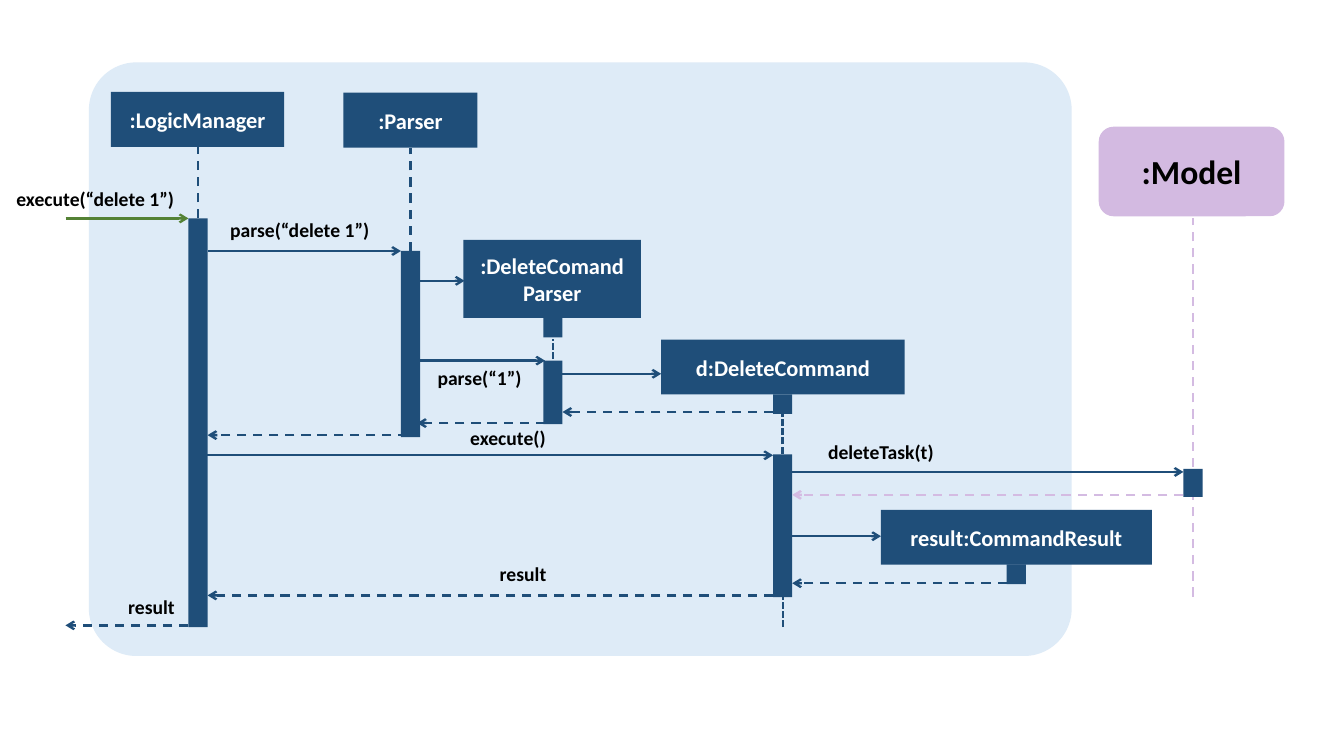
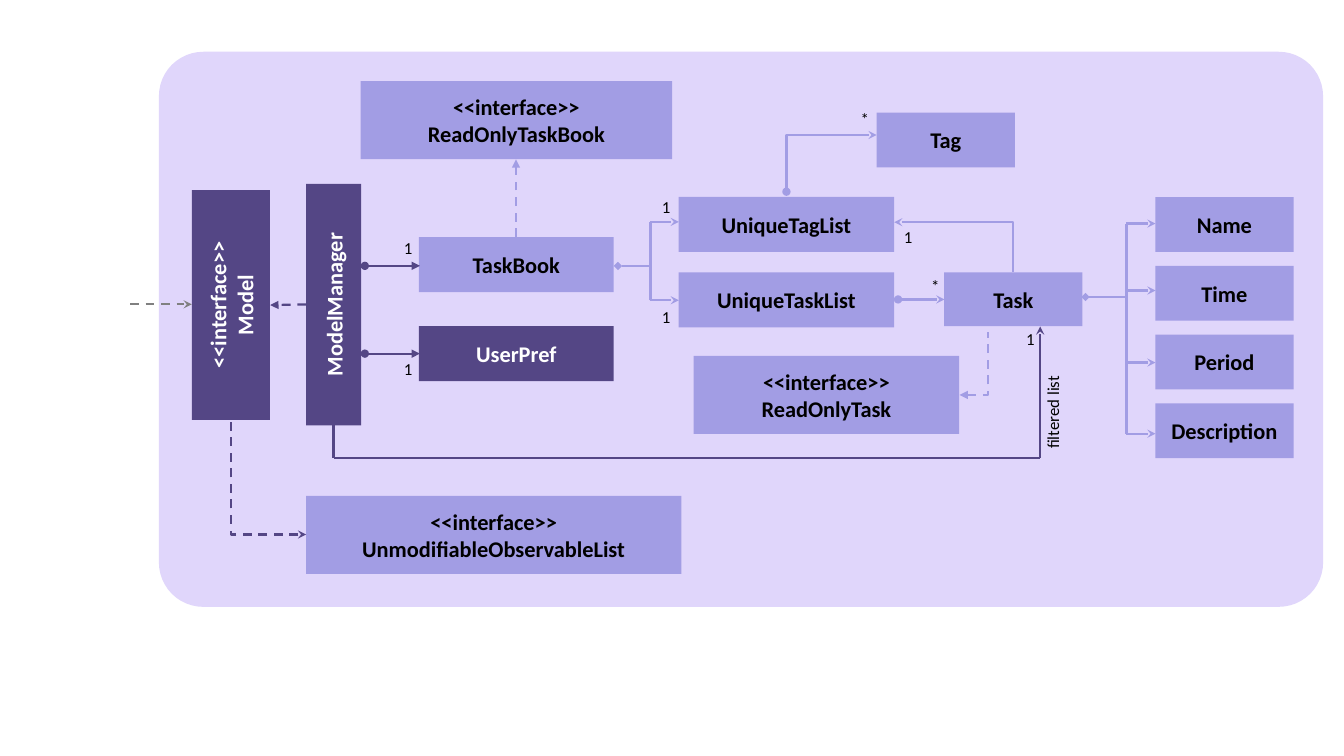
from lxml.etree import SubElement
from pptx import Presentation
from pptx.dml.color import RGBColor
from pptx.enum.dml import MSO_LINE
from pptx.enum.shapes import MSO_CONNECTOR, MSO_SHAPE
from pptx.enum.text import MSO_ANCHOR, PP_ALIGN
from pptx.oxml.ns import qn
from pptx.util import Pt

BLACK = RGBColor(0x00, 0x00, 0x00)
WHITE = RGBColor(0xFF, 0xFF, 0xFF)
GREY = RGBColor(0x80, 0x80, 0x80)
GREEN = RGBColor(0x54, 0x82, 0x35)
NAVY = RGBColor(0x1F, 0x4E, 0x79)
SKY = RGBColor(0xDE, 0xEB, 0xF7)
PINK = RGBColor(0xD3, 0xBA, 0xE1)
PINK_LINE = RGBColor(0xD4, 0xBB, 0xE2)
PURPLE = RGBColor(0x54, 0x46, 0x85)
LILAC = RGBColor(0xA2, 0x9D, 0xE4)
LAVENDER = RGBColor(0xE0, 0xD6, 0xFB)

FONT = "Calibri"
ONE_LINE, TWO_LINES = 39.2, 55.7
PANEL_ROUNDING = 0.08
DASH, SHORT_DASH = MSO_LINE.DASH, MSO_LINE.SQUARE_DOT
RECT, ROUNDED = MSO_SHAPE.RECTANGLE, MSO_SHAPE.ROUNDED_RECTANGLE


def add_box(slide, x, y, w, h, text="", fill=None, color=BLACK, size=16,
            bold=True, align=PP_ALIGN.CENTER, kind=RECT, turn=0):
    """Add a filled box, or a plain text label when no fill is given."""
    frame = Pt(x), Pt(y), Pt(w), Pt(h)
    if fill is None:
        sp = slide.shapes.add_textbox(*frame)
    else:
        sp = slide.shapes.add_shape(kind, *frame)
        sp.shadow.inherit = False
        sp.fill.solid()
        sp.fill.fore_color.rgb = fill
        sp.line.fill.background()
        sp.text_frame.vertical_anchor = MSO_ANCHOR.MIDDLE
    sp.rotation = turn
    tf = sp.text_frame
    tf.word_wrap = True
    if text:
        tf.text = text
    for p in tf.paragraphs:
        p.alignment = align
        for r in p.runs:
            r.font.name, r.font.size, r.font.bold = FONT, Pt(size), bold
            r.font.color.rgb = color
    return sp


def add_link(slide, x1, y1, x2, y2, color, dash=None, head=None, tail=None,
             bent=False, width=1.65):
    """Add a line; a bent one runs across first, then up or down."""
    kind = MSO_CONNECTOR.ELBOW if bent else MSO_CONNECTOR.STRAIGHT
    cxn = slide.shapes.add_connector(kind, Pt(x1), Pt(y1), Pt(x2), Pt(y2))
    cxn.line.color.rgb = color
    cxn.line.width = Pt(width)
    if dash:
        cxn.line.dash_style = dash
    sp_pr = cxn._element.spPr
    if bent:
        sp_pr.find(qn("a:prstGeom")).set("prst", "bentConnector2")
    for tag, arrow in (("a:headEnd", head), ("a:tailEnd", tail)):
        if arrow:
            SubElement(sp_pr.find(qn("a:ln")), qn(tag)).set("type", arrow)
    SubElement(sp_pr, qn("a:effectLst"))


prs = Presentation()
prs.slide_width, prs.slide_height = Pt(960), Pt(540)
blank = prs.slide_layouts[6]

# Slide 1: sequence diagram
slide = prs.slides.add_slide(blank)
panel = add_box(slide, 63.5, 44.6, 702, 424, fill=SKY, kind=ROUNDED)
panel.adjustments[0] = PANEL_ROUNDING

for text, x, y, w, h in (
    (":LogicManager", 79.2, 65.7, 123.8, ONE_LINE),
    (":Parser", 245.3, 66.2, 95.8, ONE_LINE),
    (":DeleteComand Parser", 331, 171.4, 126.8, TWO_LINES),
    ("d:DeleteCommand", 472.3, 242.6, 174, ONE_LINE),
    ("result:CommandResult", 629.3, 364.1, 193.6, ONE_LINE),
):
    add_box(slide, x, y, w, h, text, NAVY, WHITE)
add_box(slide, 784.8, 90.5, 132.7, 64, ":Model", PINK, size=24, kind=ROUNDED)

BAR_WIDTH = 13.7
for x, y, h in (
    (134.6, 156, 292), (286.4, 179.3, 133), (388.1, 227, 14),
    (388.1, 257.6, 45.4), (552.2, 281.7, 14), (552.2, 324.5, 102),
    (719.1, 403.2, 14), (845.3, 335, 20),
):
    add_box(slide, x, y, BAR_WIDTH, h, fill=NAVY)

for x, bottom, top, color, dash in (
    (141.5, 156, 105.2, NAVY, DASH),
    (293.2, 179.3, 106, NAVY, DASH),
    (395.1, 256.5, 242, NAVY, SHORT_DASH),
    (559, 324, 296, NAVY, SHORT_DASH),
    (559.5, 448, 426.2, NAVY, SHORT_DASH),
    (852, 333.5, 156, PINK_LINE, DASH),
    (852.2, 426.2, 355, PINK_LINE, DASH),
):
    add_link(slide, x, bottom, x, top, color, dash)

for y, x1, x2, color, dash in (
    (156, 46.8, 134.6, GREEN, None),
    (179.3, 148.3, 286.4, NAVY, None),
    (200.6, 298, 331.8, NAVY, None),
    (257.6, 298, 389.3, NAVY, None),
    (267, 401.8, 472.3, NAVY, None),
    (325.2, 141.8, 552.2, NAVY, None),
    (337.1, 565.9, 845.3, NAVY, None),
    (383, 559.2, 629.3, NAVY, None),
    (294.3, 552.2, 401.8, NAVY, DASH),
    (302.2, 389.3, 298, NAVY, DASH),
    (310.8, 290.9, 148.3, NAVY, DASH),
    (353.5, 845.3, 565.9, PINK_LINE, DASH),
    (416.6, 719.1, 565.9, NAVY, DASH),
    (425.3, 552.2, 148.3, NAVY, DASH),
    (446.7, 134.6, 46.8, NAVY, DASH),
):
    add_link(slide, x1, y, x2, y, color, dash, tail="arrow")

for text, x, y, w in (
    ("execute(“delete 1”)", -15.8, 130.3, 167.8),
    ("parse(“delete 1”)", 141.8, 152.2, 144.7),
    ("parse(“1”)", 286.4, 258, 112.3),
    ("deleteTask(t)", 573.1, 311, 112.3),
    ("execute()", 306.7, 301, 112.3),
    ("result", 317.5, 398, 112.3),
    ("result", 52.1, 421.5, 112.3),
):
    add_box(slide, x, y, w, 24.2, text, size=14)

# Slide 2: class diagram
slide = prs.slides.add_slide(blank)
panel = add_box(slide, 113.5, 37, 831.6, 396.5, fill=LAVENDER, kind=ROUNDED)
panel.adjustments[0] = PANEL_ROUNDING

for text, x, y, w, h, turn in (
    ("<<interface>>\nModel", 82.8, 190, 164.2, TWO_LINES, 270),
    ("ModelManager", 152, 198, 172.6, ONE_LINE, 270),
    ("UserPref", 299.3, 233, 139, ONE_LINE, 0),
):
    add_box(slide, x, y, w, h, text, PURPLE, WHITE, turn=turn)

for text, x, y, w, h in (
    ("TaskBook", 299.3, 169.4, 139, ONE_LINE),
    ("UniqueTagList", 484.7, 140.7, 154, ONE_LINE),
    ("<<interface>>\nReadOnlyTaskBook", 257.6, 57.9, 222.5, TWO_LINES),
    ("UniqueTaskList", 484.7, 194.6, 154, ONE_LINE),
    ("Tag", 626.2, 80.4, 98.8, ONE_LINE),
    ("<<interface>>\nReadOnlyTask", 495.4, 254.2, 189.8, TWO_LINES),
    ("Task", 674.4, 194.5, 98.8, 38.4),
    ("<<interface>>\nUnmodifiableObservableList", 218.7, 354.2, 268, TWO_LINES),
):
    add_box(slide, x, y, w, h, text, LILAC)
for i, text in enumerate(("Name", "Time", "Period", "Description")):
    add_box(slide, 825.2, 140.8 + 49.1 * i, 98.8, ONE_LINE, text, LILAC)

for x1, y1, x2, y2, color, dash, head, tail in (
    (218.7, 217.5, 193, 217.9, PURPLE, DASH, None, "triangle"),
    (92.9, 217.4, 137, 217.4, GREY, DASH, None, "stealth"),
    (260.6, 189.9, 300, 189.9, PURPLE, None, "oval", "triangle"),
    (260.6, 252.6, 300, 252.6, PURPLE, None, "oval", "triangle"),
    (641.5, 213.9, 674.6, 213.9, LILAC, None, "oval", "stealth"),
    (368.6, 169.4, 368.6, 113.8, LILAC, DASH, None, "triangle"),
    (441.4, 190, 464.4, 190, LILAC, None, "diamond", None),
    (464.6, 214.5, 464.6, 158.5, LILAC, None, None, None),
    (775.4, 212.2, 804.6, 212.2, LILAC, None, "diamond", None),
    (804.6, 309.8, 804.6, 159.7, LILAC, None, None, None),
    (238.3, 303.8, 238.3, 327.3, PURPLE, None, None, None),
    (238.3, 327.3, 743, 327.3, PURPLE, None, None, None),
    (743, 327.3, 743, 233.2, PURPLE, None, None, "stealth"),
):
    add_link(slide, x1, y1, x2, y2, color, dash, head, tail, width=1.6)

for x, right, branches in (
    (464.6, 484.9, (158.5, 214.5)),
    (804.6, 825.4, (159.7, 207.5, 259, 309.8)),
):
    for y in branches:
        add_link(slide, x, y, right, y, LILAC, tail="stealth", width=1.6)

for x1, y1, x2, y2, color, dash, head, tail in (
    (218.7, 381.8, 165.1, 300.2, PURPLE, DASH, "stealth", None),
    (626.2, 96.4, 561.8, 136.9, LILAC, None, "stealth", "oval"),
    (638.7, 158.7, 723.6, 194.5, LILAC, None, "stealth", None),
    (685.4, 282.1, 705.6, 236.9, LILAC, DASH, "triangle", None),
):
    add_link(slide, x1, y1, x2, y2, color, dash, head, tail, True, 1.6)

for text, x, y, w, turn in (
    ("1", 465.8, 215.3, 21.6, 0),
    ("1", 465.8, 137, 21.6, 0),
    ("1", 281.5, 166.3, 21.6, 0),
    ("1", 281.5, 252.9, 21.6, 0),
    ("1", 638.6, 158.6, 21.6, 0),
    ("1", 725.8, 231, 21.6, 0),
    ("*", 658, 193.7, 21.6, 0),
    ("*", 607.7, 74.2, 21.6, 0),
    ("filtered list", 713, 278, 77.8, 270),
):
    add_box(slide, x, y, w, 21.8, text, size=12, bold=False,
            align=PP_ALIGN.LEFT, turn=turn)

prs.save("out.pptx")
